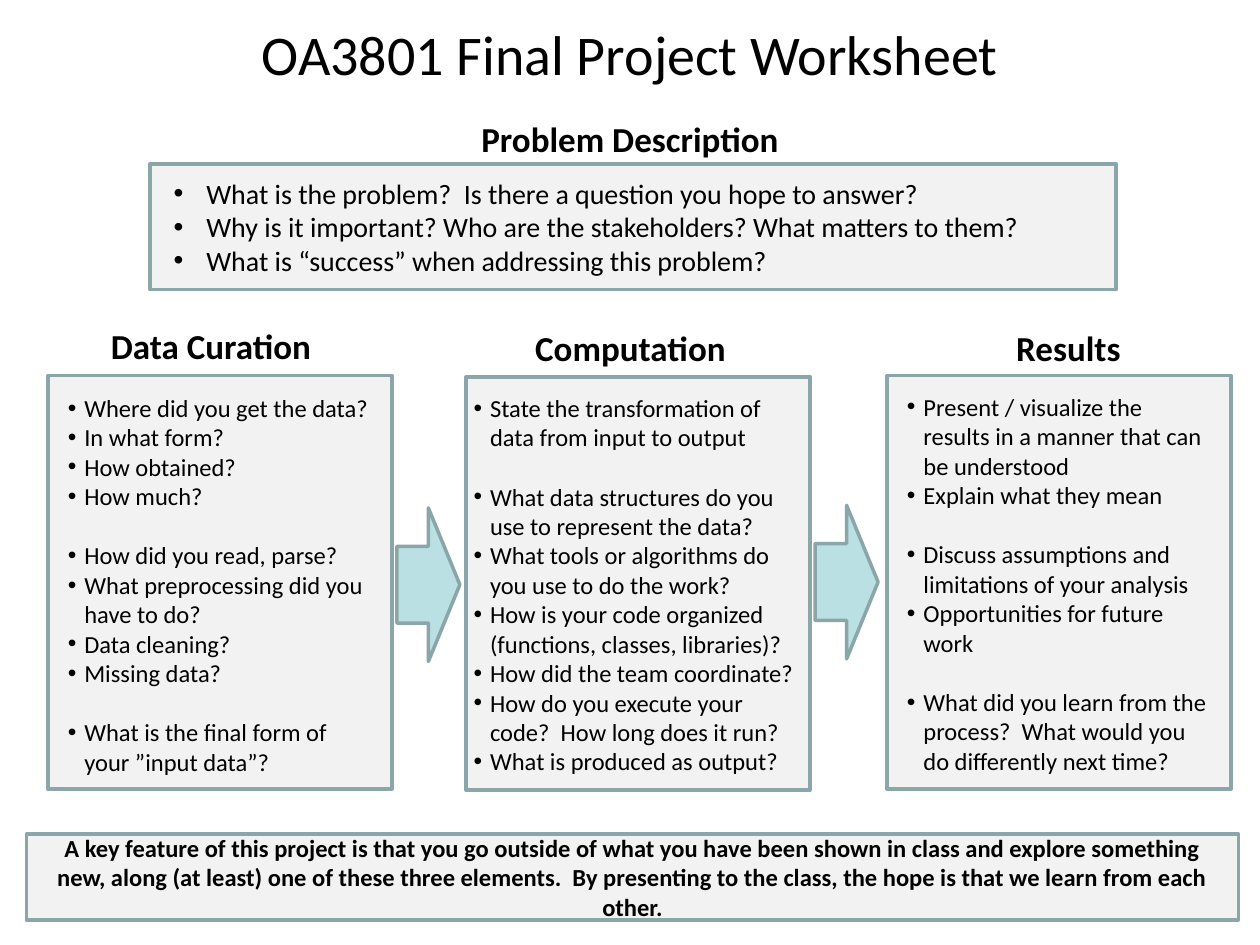
from pptx import Presentation
from pptx.dml.color import RGBColor
from pptx.enum.shapes import MSO_SHAPE
from pptx.enum.text import MSO_ANCHOR, PP_ALIGN
from pptx.oxml import parse_xml
from pptx.oxml.ns import nsdecls
from pptx.util import Pt

RECT, ARROW = MSO_SHAPE.RECTANGLE, MSO_SHAPE.RIGHT_ARROW
CENTER, LEFT = PP_ALIGN.CENTER, PP_ALIGN.LEFT
MIDDLE, TOP = MSO_ANCHOR.MIDDLE, MSO_ANCHOR.TOP

COLORS = {"text": "000000", "panel": "F2F2F2", "arrow": "BBE0E3", "line": "8AA6A8"}


class Worksheet:
    """Holds the style and the current slide."""

    font = "Calibri"
    line_width = 2
    line_height = 1.22  # one line of Calibri, in font sizes

    def __init__(self, prs):
        self.slide = prs.slides.add_slide(prs.slide_layouts[6])

    def color(self, name):
        return RGBColor.from_string(COLORS[name])

    def add_text(self, p, text, size, bold=False, align=CENTER):
        p.alignment = align
        r = p.add_run()
        r.text = text
        r.font.name, r.font.size, r.font.bold = self.font, Pt(size), bold
        r.font.color.rgb = self.color("text")

    def shape(self, kind, x, y, w, h, fill="panel"):
        s = self.slide.shapes.add_shape(kind, Pt(x), Pt(y), Pt(w), Pt(h))
        s.shadow.inherit = False
        s.fill.solid()
        s.fill.fore_color.rgb = self.color(fill)
        s.line.color.rgb = self.color("line")
        s.line.width = Pt(self.line_width)
        return s

    def frame(self, x, y, w, h, anchor=TOP, wrap=True):
        tf = self.slide.shapes.add_textbox(Pt(x), Pt(y), Pt(w), Pt(h)).text_frame
        tf.word_wrap = wrap
        tf.vertical_anchor = anchor
        return tf

    def label(self, text, x, y, w, h, size, bold=True, anchor=TOP):
        tf = self.frame(x, y, w, h, anchor, wrap=False)
        self.add_text(tf.paragraphs[0], text, size, bold)

    def bullets(self, groups, x, y, w, h, size, indent):
        """Add groups of bullets, one line's gap between groups."""
        tf = self.frame(x, y, w, h)
        p = tf.paragraphs[0]
        for g, group in enumerate(groups):
            for i, text in enumerate(group):
                if g or i:
                    p = tf.add_paragraph()
                if g and not i:
                    p.space_before = Pt(round(size * self.line_height, 1))
                self.add_text(p, text, size, align=LEFT)
                pPr = p._p.get_or_add_pPr()
                pPr.set("marL", str(Pt(indent)))
                pPr.set("indent", str(-Pt(indent)))
                pPr.append(parse_xml(f'<a:buFont {nsdecls("a")} typeface="Arial"/>'))
                pPr.append(parse_xml(f'<a:buChar {nsdecls("a")} char="•"/>'))

    def banner(self, text, x, y, w, h, size):
        tf = self.shape(RECT, x, y, w, h).text_frame
        tf.word_wrap = True
        tf.vertical_anchor = MIDDLE
        self.add_text(tf.paragraphs[0], text, size, bold=True)


PROBLEM = [[
    "What is the problem?  Is there a question you hope to answer?",
    "Why is it important? Who are the stakeholders? What matters to them?",
    "What is “success” when addressing this problem?",
]]

# heading, (heading left, top, width), (panel left, top), (text left, top, width), bullets
COLUMNS = [
    ("Data Curation", (55.4, 182, 130.3), (27.4, 214.6), (31.7, 221, 189.4), [
        ["Where did you get the data?", "In what form?", "How obtained?", "How much?"],
        ["How did you read, parse?", "What preprocessing did you have to do?",
         "Data cleaning?", "Missing data?"],
        ["What is the final form of your ”input data”?"],
    ]),
    ("Computation", (298, 183, 124.6), (266.4, 215.3), (263.5, 221, 202.3), [
        ["State the transformation of data from input to output"],
        ["What data structures do you use to represent the data?",
         "What tools or algorithms do you use to do the work?",
         "How is your code organized (functions, classes, libraries)?",
         "How did the team coordinate?",
         "How do you execute your code?  How long does it run?",
         "What is produced as output?"],
    ]),
    ("Results", (573.1, 183, 74.9), (506.9, 214.6), (511.2, 220.3, 189.4), [
        ["Present / visualize the results in a manner that can be understood",
         "Explain what they mean"],
        ["Discuss assumptions and limitations of your analysis",
         "Opportunities for future work"],
        ["What did you learn from the process?  What would you do differently next time?"],
    ]),
]

KEY_FEATURE = (
    "A key feature of this project is that you go outside of what you have been shown "
    "in class and explore something new, along (at least) one of these three elements.  "
    "By presenting to the class, the hope is that we learn from each other."
)


def main():
    prs = Presentation()
    prs.slide_width, prs.slide_height = Pt(720), Pt(540)
    ws = Worksheet(prs)

    # Title
    ws.label("OA3801 Final Project Worksheet", 36, 12.2, 648, 36, 32, False, MIDDLE)

    # Problem description
    ws.label("Problem Description", 267.1, 63.4, 185.8, 31.5, 20)
    ws.shape(RECT, 85.7, 93.6, 552.2, 72)
    ws.bullets(PROBLEM, 92.2, 97.2, 537.1, 67.7, 16, 18.7)

    # Three stages
    for heading, (hx, hy, hw), (px, py), (tx, ty, tw), groups in COLUMNS:
        ws.label(heading, hx, hy, hw, 31.5, 20)
        ws.shape(RECT, px, py, 196.6, 236.2)
        ws.bullets(groups, tx, ty, tw, 227.5, 14, 9.4)

    # Arrows between the stages
    for x, y in ((226.8, 290.2), (465.8, 288.7)):
        ws.shape(ARROW, x, y, 36, 87.8, "arrow")

    # Closing note
    ws.banner(KEY_FEATURE, 15.1, 476.6, 692.6, 49, 14)

    prs.save("out.pptx")


if __name__ == "__main__":
    main()
